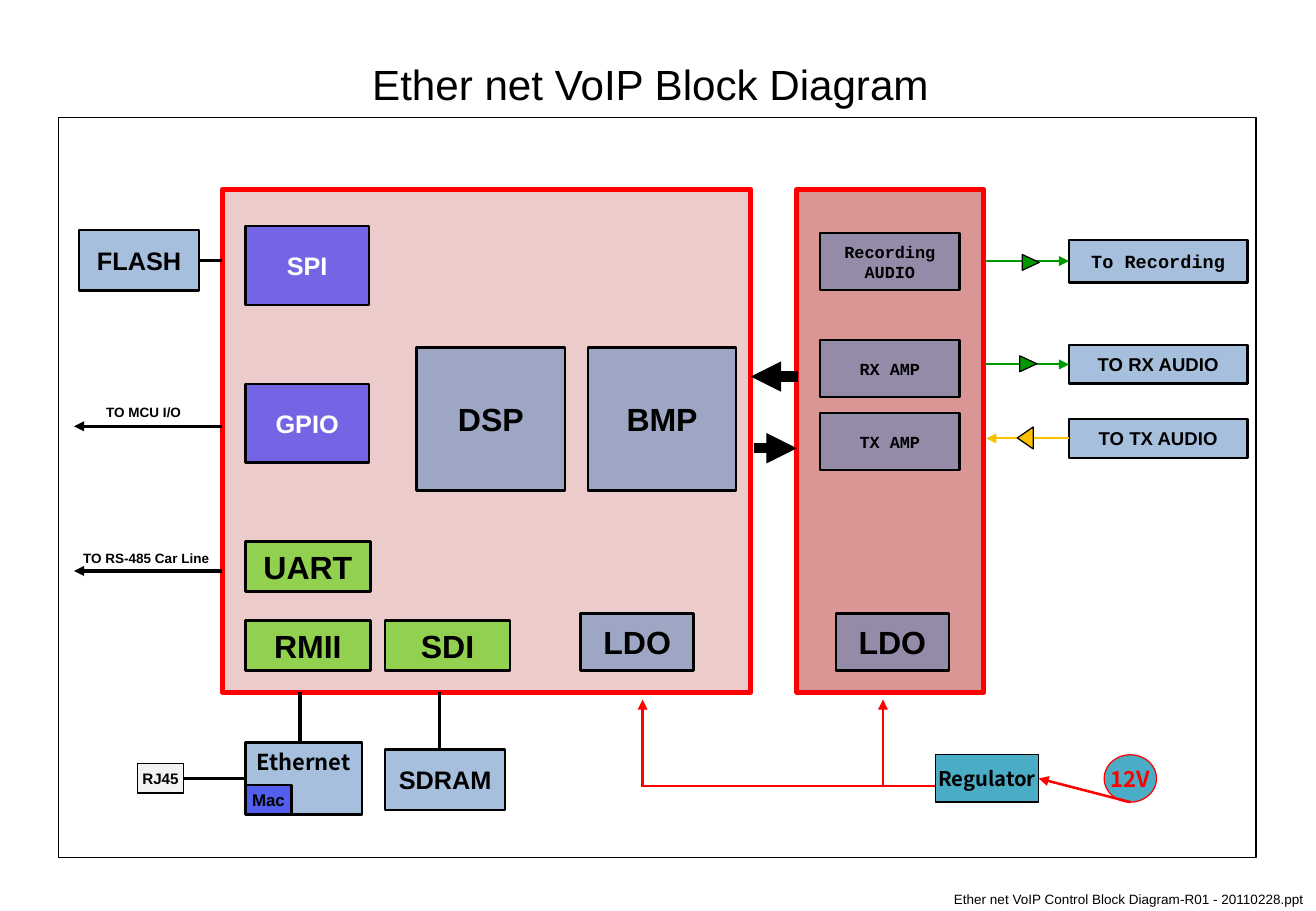
from dataclasses import dataclass

from lxml.etree import SubElement
from pptx import Presentation
from pptx.dml.color import RGBColor
from pptx.enum.shapes import MSO_CONNECTOR, MSO_SHAPE
from pptx.enum.text import MSO_ANCHOR, PP_ALIGN
from pptx.oxml.ns import qn
from pptx.util import Pt

TOP, LEFT, BOTTOM, RIGHT = range(4)
CIRCLE_LEFT = 2


@dataclass(frozen=True)
class Theme:
    black: str = "000000"
    white: str = "FFFFFF"
    red: str = "FF0000"
    rose: str = "D99694"
    steel: str = "4F81BD"
    blue: str = "0000FF"
    lime: str = "92D050"
    teal: str = "4BACC6"
    grey: str = "F2F2F2"
    green: str = "009900"
    amber: str = "FFC000"
    sans: str = "Arial"
    mono: str = "Courier New"
    korean: str = "Noto Sans CJK KR"
    title: int = 25
    large: int = 19
    medium: int = 15
    supply: int = 13
    regulator: int = 12
    terminal: int = 11
    small: int = 10
    port: int = 9
    label: int = 8


class Diagram:
    def __init__(self, slide, theme):
        self.slide = slide
        self.theme = theme

    def set_text(self, text_frame, text, size, font, color, bold, alignment):
        text_frame.text = text
        for paragraph in text_frame.paragraphs:
            paragraph.alignment = alignment
            paragraph.font.size = Pt(size)
            paragraph.font.name = font
            paragraph.font.bold = bold
            paragraph.font.color.rgb = RGBColor.from_string(color)

    def shape(self, left, top, width, height, fill=None, opacity=100, line=None,
              weight=1.5, kind=MSO_SHAPE.RECTANGLE, rotation=0):
        shape = self.slide.shapes.add_shape(kind, Pt(left), Pt(top), Pt(width), Pt(height))
        shape.shadow.inherit = False
        shape.rotation = rotation
        shape.line.color.rgb = RGBColor.from_string(line or self.theme.black)
        shape.line.width = Pt(weight)
        if fill:
            shape.fill.solid()
            shape.fill.fore_color.rgb = RGBColor.from_string(fill)
            if opacity < 100:
                color = shape.element.spPr.find(qn("a:solidFill")).find(qn("a:srgbClr"))
                SubElement(color, qn("a:alpha"), val=str(opacity * 1000))
        else:
            shape.fill.background()
        return shape

    def block(self, text, left, top, width, height, size, fill=None, opacity=100,
              font=None, color=None, anchor=MSO_ANCHOR.MIDDLE, **style):
        shape = self.shape(left, top, width, height, fill or self.theme.steel,
                           opacity if fill else 50, **style)
        text_frame = shape.text_frame
        text_frame.word_wrap = False
        text_frame.vertical_anchor = anchor
        self.set_text(text_frame, text, size, font or self.theme.sans,
                      color or self.theme.black, True, PP_ALIGN.CENTER)
        return shape

    def label(self, text, left, top, width, height, size, bold=False):
        text_frame = self.slide.shapes.add_textbox(
            Pt(left), Pt(top), Pt(width), Pt(height)).text_frame
        text_frame.word_wrap = True
        text_frame.margin_left = text_frame.margin_right = Pt(6)
        text_frame.margin_top = text_frame.margin_bottom = Pt(3)
        self.set_text(text_frame, text, size, self.theme.sans, self.theme.black, bold,
                      PP_ALIGN.LEFT)

    def line(self, start, end, color=None, weight=2, arrow=False, begin=None, finish=None):
        connector = self.slide.shapes.add_connector(
            MSO_CONNECTOR.STRAIGHT, *(Pt(value) for value in (*start, *end)))
        connector.line.color.rgb = RGBColor.from_string(color or self.theme.black)
        connector.line.width = Pt(weight)
        properties = connector.element.spPr
        if arrow:
            SubElement(properties.find(qn("a:ln")), qn("a:tailEnd"), type="triangle")
        SubElement(properties, qn("a:effectLst"))
        if begin:
            connector.begin_connect(*begin)
        if finish:
            connector.end_connect(*finish)


def main():
    presentation = Presentation()
    presentation.slide_width = Pt(780)
    presentation.slide_height = Pt(540)
    theme = Theme()
    diagram = Diagram(presentation.slides.add_slide(presentation.slide_layouts[6]), theme)

    diagram.label("Ether net VoIP Block Diagram", 214.6, 31.7, 375.8, 36, theme.title)
    diagram.shape(34.6, 69.8, 709.9, 438.5, weight=0.75)
    diagram.shape(131.8, 112.3, 313.2, 298.1, theme.rose, 48, theme.red, 3)

    terminals = [
        ("To Recording", 142.2, 25.2, theme.mono, theme.green, 567.4),
        ("TO RX AUDIO", 204.5, 23, theme.sans, theme.green, 567.4),
        ("TO TX AUDIO", 248.4, 23, theme.sans, theme.amber, 584.6),
    ]
    for text, top, height, font, color, inner in terminals:
        terminal = diagram.block(text, 633.6, top, 105.8, height, theme.terminal, font=font)
        middle = top + height / 2
        if color == theme.green:
            diagram.line((inner, middle), (633.6, middle), color, 1.25, True,
                         finish=(terminal, LEFT))
        else:
            diagram.line((633.6, middle), (inner, middle), color, 1.25, True,
                         begin=(terminal, LEFT))

    diagram.shape(472.3, 112.3, 110.9, 298.1, theme.rose, line=theme.red, weight=3)
    amplifiers = [
        (606.2, 150.5, 9.4, 10.1, theme.green, 90),
        (604.8, 210.6, 9.4, 10.1, theme.green, 90),
        (601.2, 254.9, 13, 9.4, theme.amber, 270),
    ]
    for left, top, width, height, color, rotation in amplifiers:
        diagram.shape(left, top, width, height, color, weight=0.75,
                      kind=MSO_SHAPE.ISOSCELES_TRIANGLE, rotation=rotation)

    for text, top in (("SPI", 133.9), ("GPIO", 227.5)):
        diagram.block(text, 145.4, top, 73.4, 46.8, theme.medium, theme.blue, 50,
                      color=theme.white)
    for text, left, top in (("UART", 145.4, 321.1), ("RMII", 145.4, 367.9), ("SDI", 228.2, 367.9)):
        diagram.block(text, left, top, 74.2, 29.5, theme.large, theme.lime)
    for text, left in (("DSP", 247), ("BMP", 348.5)):
        diagram.block(text, left, 205.9, 87.8, 85, theme.large)
    for left in (344.2, 495.4):
        diagram.block("LDO", left, 363.6, 67, 33.8, theme.large)
    for text, top in (("Recording\nAUDIO", 138.2), ("RX AMP", 201.6), ("TX AMP", 244.8)):
        diagram.block(text, 486, top, 82.8, 33.8, theme.small, font=theme.mono)

    flash = diagram.block("FLASH", 46.8, 136.4, 71.3, 36, theme.medium)
    diagram.block("SDRAM", 228.2, 444.2, 71.3, 36, theme.medium)
    ethernet = diagram.block("Ethernet", 145.4, 440.2, 69.1, 42.5, theme.supply,
                             font=theme.korean, anchor=MSO_ANCHOR.TOP)
    diagram.block("Mac", 145.4, 465.4, 27.4, 17.3, theme.small, theme.blue, 50)
    socket = diagram.block("RJ45", 81.4, 452.8, 27.4, 17.3, theme.port, theme.grey, weight=0.75)
    diagram.line((108.8, 461.45), (145.4, 461.45), begin=(socket, RIGHT), finish=(ethernet, LEFT))
    diagram.line((118.1, 154.4), (131.8, 154.4), begin=(flash, RIGHT))
    diagram.line((177.8, 440.2), (177.8, 410.4))
    diagram.line((260.6, 444.2), (260.6, 410.4))

    for middle in (252.7, 338.4):
        diagram.line((131.8, middle), (43.9, middle), arrow=True)
    for start, end, middle in ((447.1, 472.3, 265.7), (473, 445, 223.2)):
        diagram.line((start, middle), (end, middle), weight=6, arrow=True)

    for center in (380.9, 523.4):
        diagram.line((center, 465.8), (center, 414.7), theme.red, 1.5, True)
    diagram.line((557.3, 465.8), (380.2, 465.8), theme.red, 1.5)
    regulator = diagram.block("Regulator", 554.4, 447.4, 61.2, 28.1, theme.regulator, theme.teal,
                              font=theme.korean, weight=0.75)
    supply = diagram.block("12V", 654.5, 447.4, 31, 28.1, theme.supply, theme.teal,
                           font=theme.korean, color=theme.red, line=theme.red, weight=0.75,
                           kind=MSO_SHAPE.OVAL)
    diagram.line((654.5, 461.45), (615.6, 461.45), theme.red, 1.5, True,
                 begin=(supply, CIRCLE_LEFT), finish=(regulator, RIGHT))

    diagram.label("TO RS-485 Car Line", 43.2, 323.3, 111.6, 15.8, theme.label, True)
    diagram.label("TO MCU I/O", 56.9, 236.2, 111.6, 15.8, theme.label, True)
    diagram.label("Ether net VoIP Control Block Diagram-R01 - 20110228.ppt",
                  559.4, 524.9, 220.6, 15.1, theme.label)
    presentation.save("out.pptx")


if __name__ == "__main__":
    main()
